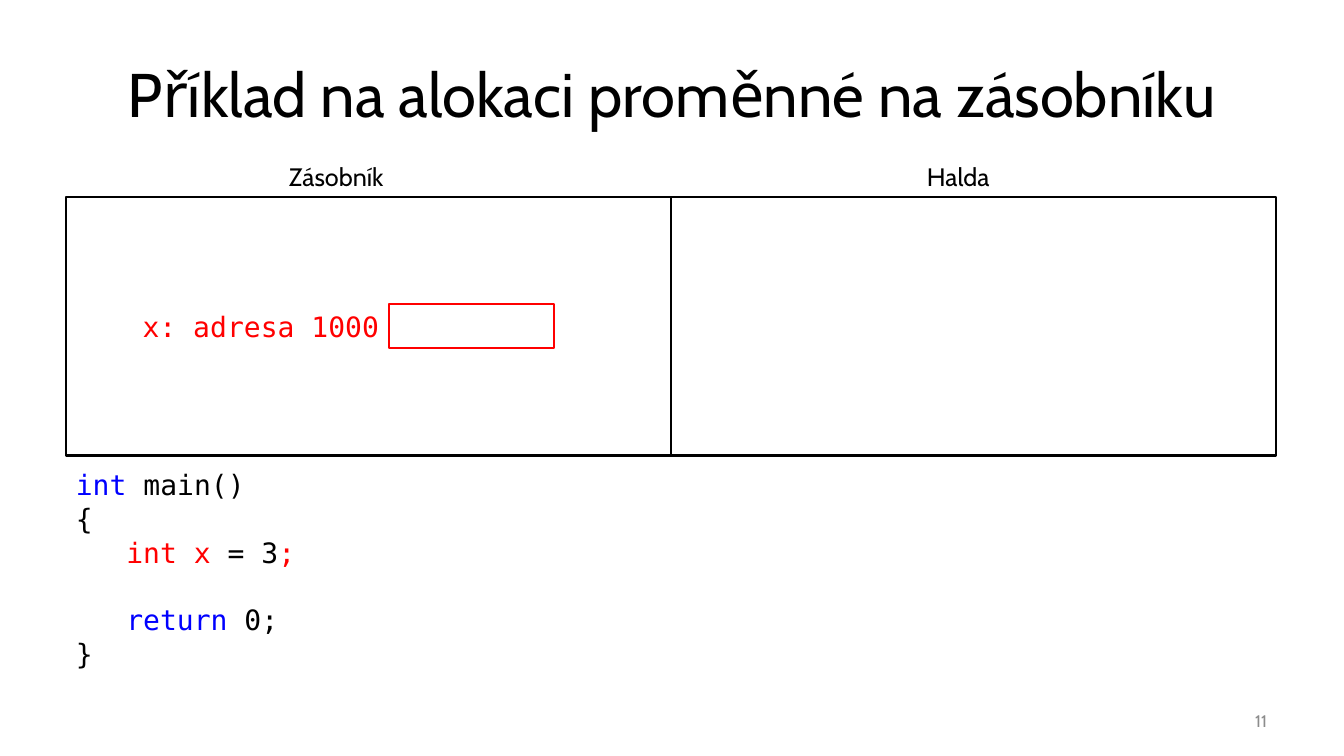
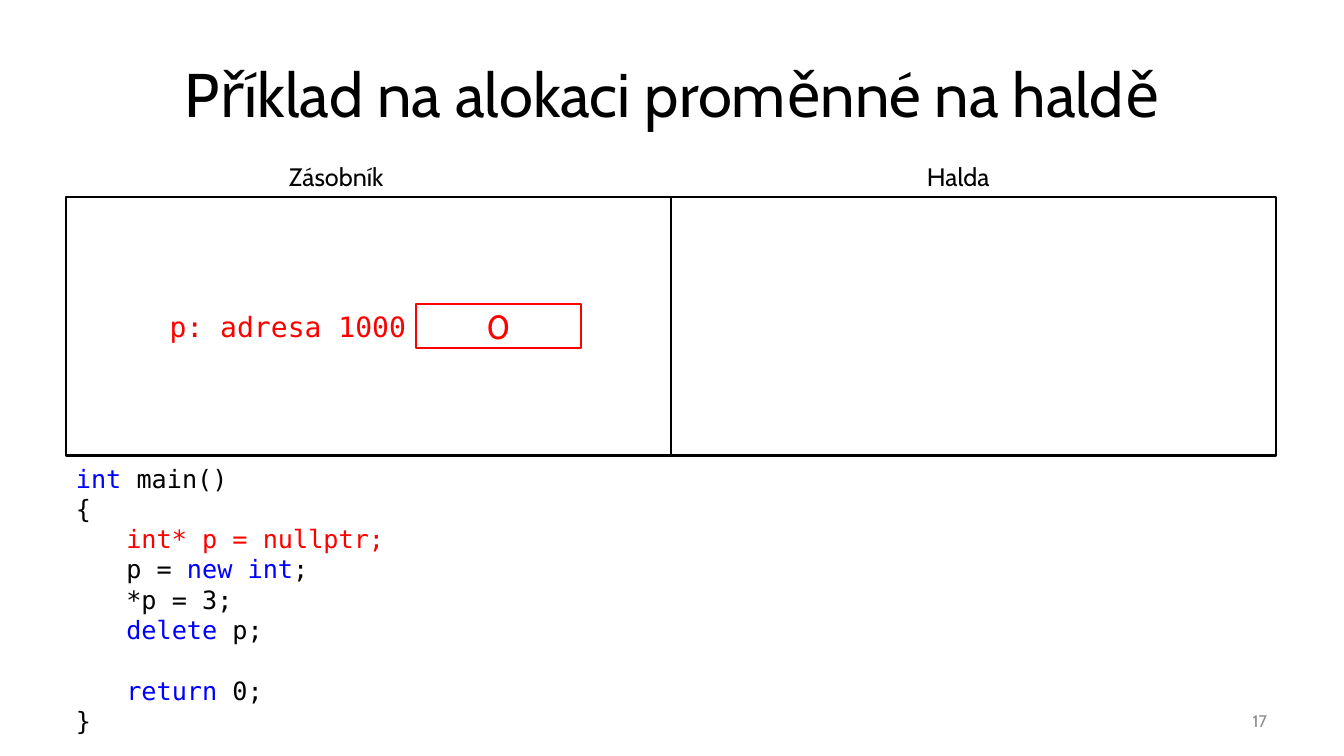
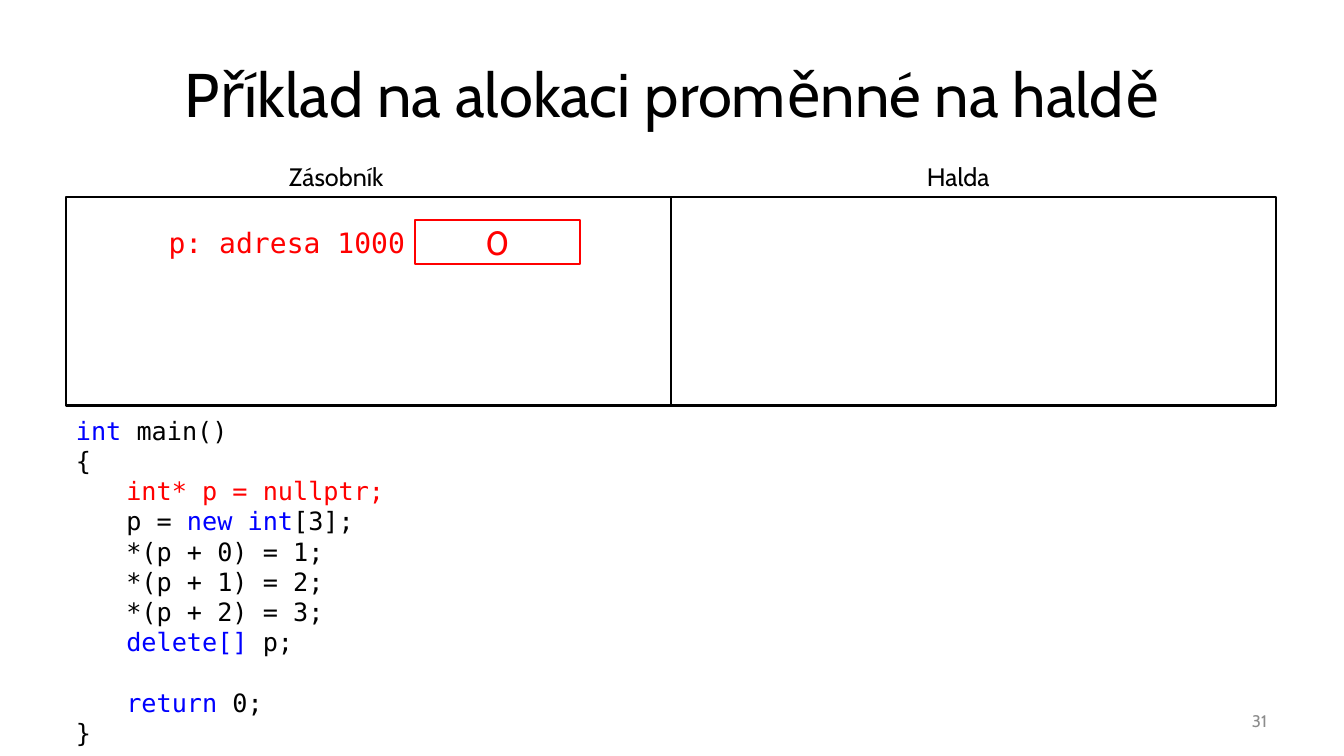
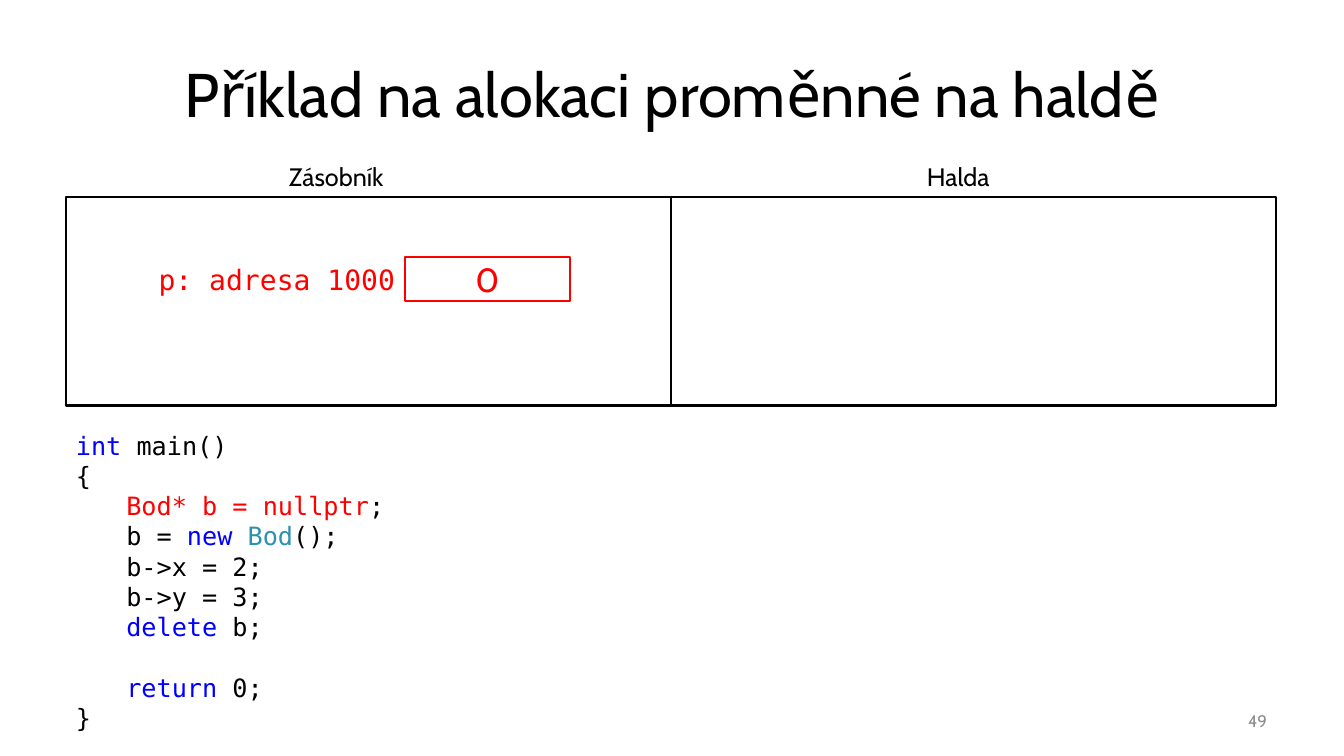
from pptx import Presentation
from pptx.dml.color import RGBColor
from pptx.enum.shapes import MSO_SHAPE
from pptx.enum.text import MSO_ANCHOR, MSO_AUTO_SIZE, PP_ALIGN
from pptx.util import Emu, Inches, Pt

EMU_PER_PX = 914400 / 100.8
BLACK, WHITE, RED, BLUE, TEAL, GRAY = (
    "000000", "FFFFFF", "FF0000", "0000FF", "2B91AF", "8C8C8C")
SANS, MONO = "Cabin", "DejaVu Sans Mono"
LINE_HEIGHT = 1.21

HEAP_TITLE = "Příklad na alokaci proměnné na haldě"

SLIDES = [
    {
        "title": "Příklad na alokaci proměnné na zásobníku", "number": 11,
        "panel_height": 259, "cell": (389, 304), "variable": "x", "value": "",
        "code_top": 463, "code_size": 20,
        "body": [[("int x", RED), (" = 3", BLACK), (";", RED)]],
    },
    {
        "title": HEAP_TITLE, "number": 17,
        "panel_height": 259, "cell": (416, 304), "variable": "p", "value": "0",
        "code_top": 458, "code_size": 18,
        "body": [
            [("int* p = nullptr;", RED)],
            [("p = ", BLACK), ("new int", BLUE), (";", BLACK)],
            [("*p = 3;", BLACK)],
            [("delete", BLUE), (" p;", BLACK)],
        ],
    },
    {
        "title": HEAP_TITLE, "number": 31,
        "panel_height": 209, "cell": (415, 220), "variable": "p", "value": "0",
        "code_top": 410, "code_size": 18,
        "body": [
            [("int* p = nullptr;", RED)],
            [("p = ", BLACK), ("new int", BLUE), ("[3];", BLACK)],
            *[[(f"*(p + {index}) = {index + 1};", BLACK)] for index in range(3)],
            [("delete[]", BLUE), (" p;", BLACK)],
        ],
    },
    {
        "title": HEAP_TITLE, "number": 49,
        "panel_height": 209, "cell": (405, 257), "variable": "p", "value": "0",
        "code_top": 425, "code_size": 18,
        "body": [
            [("Bod* b = nullptr", RED), (";", BLACK)],
            [("b = ", BLACK), ("new ", BLUE), ("Bod", TEAL), ("();", BLACK)],
            [("b->x = 2;", BLACK)],
            [("b->y = 3;", BLACK)],
            [("delete", BLUE), (" b;", BLACK)],
        ],
    },
]


def px(length):
    return Emu(round(length * EMU_PER_PX))


def color(value):
    return RGBColor.from_string(value)


def apply(target, values):
    for name, value in values.items():
        setattr(target, name, value)


class MemoryDeck:
    title_style = {"size": 44, "align": PP_ALIGN.CENTER, "anchor": MSO_ANCHOR.MIDDLE}
    number_style = {"size": 12, "ink": GRAY, "align": PP_ALIGN.RIGHT,
                    "anchor": MSO_ANCHOR.MIDDLE}
    address_style = {"size": 20, "ink": RED, "face": MONO, "align": PP_ALIGN.RIGHT,
                     "anchor": MSO_ANCHOR.MIDDLE}

    def __init__(self):
        self.deck = Presentation()
        apply(self.deck, {"slide_width": px(1344), "slide_height": px(756)})
        self.page = None

    def add_page(self):
        self.page = self.deck.slides.add_slide(self.deck.slide_layouts[6])

    def frame(self, left, top, width, height, anchor=MSO_ANCHOR.TOP):
        box = self.page.shapes.add_textbox(px(left), px(top), px(width), px(height))
        apply(box.text_frame, {"word_wrap": True, "vertical_anchor": anchor,
                               "auto_size": MSO_AUTO_SIZE.NONE})
        return box.text_frame

    def span(self, para, text, size, ink=BLACK, face=SANS):
        span = para.add_run()
        span.text = text
        apply(span.font, {"size": Pt(size), "name": face})
        span.font.color.rgb = color(ink)

    def text(self, text, left, top, width, height, size, ink=BLACK, face=SANS,
             align=PP_ALIGN.LEFT, anchor=MSO_ANCHOR.TOP):
        para = self.frame(left, top, width, height, anchor).paragraphs[0]
        para.alignment = align
        self.span(para, text, size, ink, face)

    def rectangle(self, left, top, width, height, line, text=""):
        box = self.page.shapes.add_shape(
            MSO_SHAPE.RECTANGLE, px(left), px(top), px(width), px(height))
        box.shadow.inherit = False
        box.fill.solid()
        box.fill.fore_color.rgb = color(WHITE)
        box.line.color.rgb = color(line)
        box.line.width = Pt(2)
        if text:
            box.text_frame.vertical_anchor = MSO_ANCHOR.MIDDLE
            para = box.text_frame.paragraphs[0]
            para.alignment = PP_ALIGN.CENTER
            self.span(para, text, 24, line)

    def panels(self, height):
        labels = [("Zásobník", 279, 122), ("Halda", 917, 91)]
        for index, (label, left, width) in enumerate(labels):
            self.rectangle(66 + index * 605, 197, 605, height, BLACK)
            self.text(label, left, 156, width, 40, 18)

    def variable(self, name, value, left, top):
        self.rectangle(left, top, 165, 44, RED, value)
        self.text(f"{name}: adresa 1000", left - 260, top, 260, 44, **self.address_style)

    def code(self, body, top, size):
        closing = [("return", BLUE), (" 0;", BLACK)]
        lines = [
            (0, [("int ", BLUE), ("main()", BLACK)]),
            (0, [("{", BLACK)]),
            *[(1, spans) for spans in body],
            (1, closing),
            (0, [("}", BLACK)]),
        ]
        line_height = size * LINE_HEIGHT
        height = round(((len(lines) + 1) * line_height + 7.2) * 1.4)
        frame = self.frame(66, top, 1210, height)
        for index, (level, spans) in enumerate(lines):
            para = frame.add_paragraph() if index else frame.paragraphs[0]
            para.level = level
            if level:
                para._p.get_or_add_pPr().set("marL", str(Inches(0.5)))
                para._p.get_or_add_pPr().set("indent", "0")
            if spans is closing:
                para.space_before = Pt(round(line_height, 1))
            for text, ink in spans:
                self.span(para, text, size, ink, MONO)

    def memory_slide(self, title, number, panel_height, cell, variable, value,
                     code_top, code_size, body):
        self.add_page()
        self.text(title, 67, 30, 1210, 126, **self.title_style)
        self.text(str(number), 964, 701, 313, 40, **self.number_style)
        self.panels(panel_height)
        self.variable(variable, value, *cell)
        self.code(body, code_top, code_size)


def main():
    builder = MemoryDeck()
    for content in SLIDES:
        builder.memory_slide(**content)
    builder.deck.save("out.pptx")


if __name__ == "__main__":
    main()
